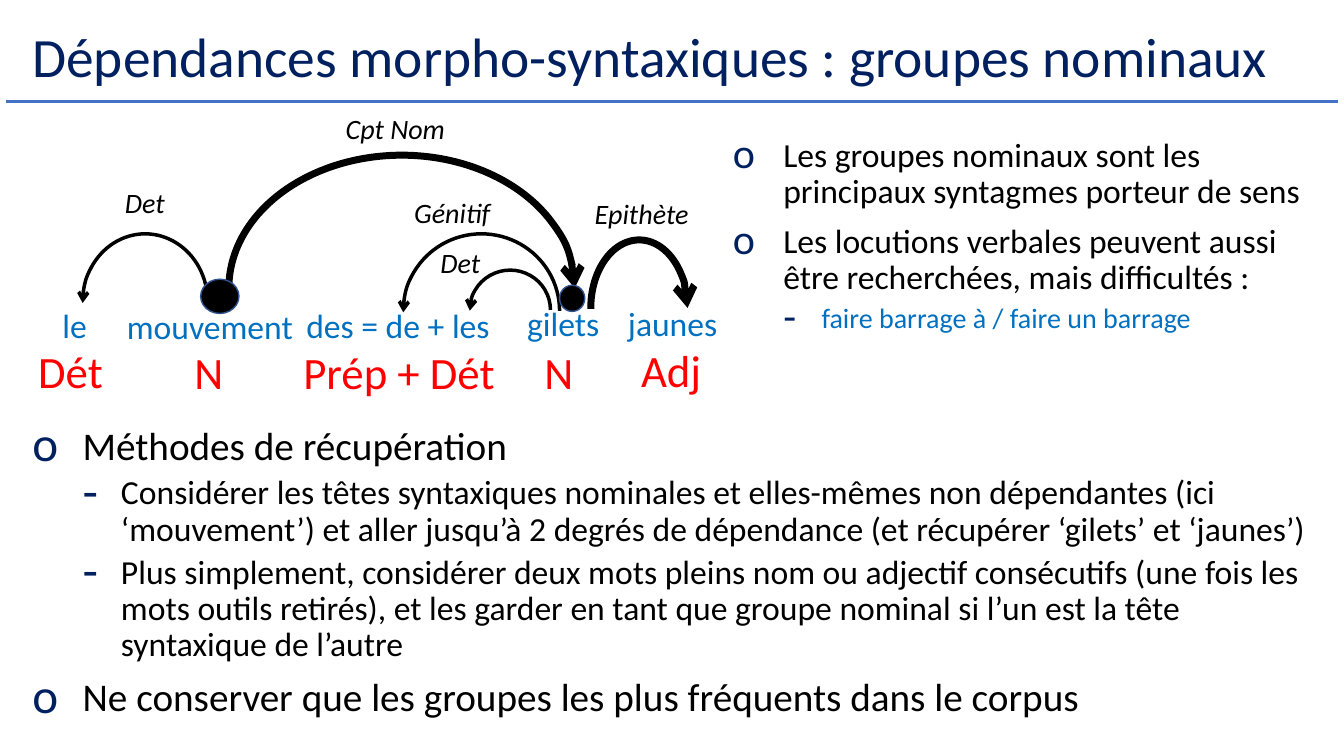
from lxml.etree import SubElement
from pptx import Presentation
from pptx.dml.color import RGBColor
from pptx.enum.shapes import MSO_CONNECTOR, MSO_SHAPE
from pptx.enum.text import MSO_ANCHOR, MSO_AUTO_SIZE, PP_ALIGN
from pptx.oxml.ns import qn
from pptx.util import Inches, Pt

FONT = "Calibri"
COLORS = {
    "navy": "002060", "rule": "4472C4", "word": "0070C0", "tag": "FF0000",
    "black": "000000", "node_edge": "325491",
}
# Per level: bullet, size in %, left margin, hanging indent, space before
BULLETS = [("o", 125, 0.5, 0.5, 10), ("-", 150, 0.88, 0.38, 5)]

# Text, left, top, width
WORDS = [
    ("le", 0.52, 2.98, 0.73), ("mouvement", 1.16, 2.99, 1.88),
    ("des = de + les", 2.94, 2.98, 2.13), ("gilets", 5.13, 2.96, 0.95),
    ("jaunes", 6.13, 2.96, 1.19),
]
TAGS = [
    ("Dét", 0.28, 3.36, 1.02), ("N", 1.83, 3.37, 0.5),
    ("Prép + Dét", 2.91, 3.37, 2.24), ("N", 5.3, 3.37, 0.5),
    ("Adj", 6.26, 3.35, 0.97),
]
RELATIONS = [
    ("Cpt Nom", 3.33, 1.06, 1.3), ("Det", 1.14, 1.79, 0.7),
    ("Génitif", 4.01, 1.89, 1.07), ("Det", 4.27, 2.39, 0.7),
    ("Epithète", 5.8, 1.9, 1.24),
]
# Left, top, width, height, arrow end, line width
DEPENDENCIES = [
    (0.82, 2.32, 1.24, 1.35, "headEnd", 2.5),
    (2.27, 1.54, 3.43, 2.64, "tailEnd", 5),
    (4.66, 2.68, 0.8, 0.79, "headEnd", 2.5),
    (5.86, 2.38, 0.96, 1.35, "tailEnd", 5),
    (4, 2.32, 1.55, 1.53, "headEnd", 2.5),
]
HEAD_NOUNS = [(1.99, 2.77, 0.38, 0.34), (5.55, 2.83, 0.25, 0.26)]

# Text, level, size, colour
FINDINGS = [
    ("Les groupes nominaux sont les principaux syntagmes porteur de sens",
     0, 24, "black"),
    ("Les locutions verbales peuvent aussi être recherchées, mais difficultés :",
     0, 24, "black"),
    ("faire barrage à / faire un barrage", 1, 20, "word"),
]
METHODS = [
    ("Méthodes de récupération", 0, 28, "black"),
    ("Considérer les têtes syntaxiques nominales et elles-mêmes non dépendantes "
     "(ici ‘mouvement’) et aller jusqu’à 2 degrés de dépendance (et récupérer "
     "‘gilets’ et ‘jaunes’)", 1, 24, "black"),
    ("Plus simplement, considérer deux mots pleins nom ou adjectif consécutifs "
     "(une fois les mots outils retirés), et les garder en tant que groupe "
     "nominal si l’un est la tête syntaxique de l’autre", 1, 24, "black"),
    ("Ne conserver que les groupes les plus fréquents dans le corpus",
     0, 28, "black"),
]


def rgb(name):
    """Return the named colour."""
    return RGBColor.from_string(COLORS[name])


def place(shape, left, top, width, height):
    """Move and size a shape, in inches."""
    shape.left, shape.top = Inches(left), Inches(top)
    shape.width, shape.height = Inches(width), Inches(height)


def style(paragraph, size, color, italic=False):
    """Set the font of a whole paragraph."""
    font = paragraph.font
    font.name, font.size, font.italic = FONT, Pt(size), italic
    font.color.rgb = rgb(color)


def add_bullet(paragraph, level):
    """Give a paragraph the bullet, indent and spacing of its level."""
    char, percent, margin, hanging, before = BULLETS[level]
    paragraph.level = level
    paragraph.line_spacing, paragraph.space_before = 0.9, Pt(before)
    paragraph.space_after = Pt(0)
    properties = paragraph._p.get_or_add_pPr()
    properties.set("marL", str(Inches(margin)))
    properties.set("indent", str(-Inches(hanging)))
    bullet_color = SubElement(properties, qn("a:buClr"))
    SubElement(bullet_color, qn("a:srgbClr"), val=COLORS["navy"])
    SubElement(properties, qn("a:buSzPct"), val=str(percent * 1000))
    SubElement(properties, qn("a:buFont"), typeface=FONT)
    SubElement(properties, qn("a:buChar"), char=char)


def fill_list(frame, items):
    """Write a two-level bulleted list into a text frame."""
    frame.word_wrap, frame.auto_size = True, MSO_AUTO_SIZE.NONE
    for index, (text, level, size, color) in enumerate(items):
        paragraph = frame.paragraphs[0] if index == 0 else frame.add_paragraph()
        paragraph.text = text
        add_bullet(paragraph, level)
        style(paragraph, size, color)


def add_labels(slide, labels, height, size, color, italic=False):
    """Add a set of one-line texts that share a style."""
    for text, left, top, width in labels:
        box = slide.shapes.add_textbox(
            Inches(left), Inches(top), Inches(width), Inches(height))
        box.text_frame.word_wrap = True
        paragraph = box.text_frame.paragraphs[0]
        paragraph.text = text
        style(paragraph, size, color, italic)


def add_preset(slide, kind, bounds, line_color, line_width):
    """Add a preset shape with an outline and no shadow."""
    shape = slide.shapes.add_shape(kind, *map(Inches, bounds))
    shape.shadow.inherit = False
    shape.line.color.rgb, shape.line.width = rgb(line_color), Pt(line_width)
    return shape


def add_dependency(slide, left, top, width, height, arrow_end, line_width):
    """Add a half-ellipse arrow between two words."""
    arc = add_preset(slide, MSO_SHAPE.ARC, (left, top, width, height),
                     "black", line_width)
    arc.fill.background()
    arc.adjustments[0], arc.adjustments[1] = 107.38, 0
    SubElement(arc.line._get_or_add_ln(), qn(f"a:{arrow_end}"), type="arrow")


def add_head_noun(slide, bounds):
    """Add the black dot that marks a head noun."""
    dot = add_preset(slide, MSO_SHAPE.OVAL, bounds, "node_edge", 1)
    dot.fill.solid()
    dot.fill.fore_color.rgb = rgb("black")


def add_title(slide, text):
    """Fill the title placeholder and draw the rule below it."""
    title = slide.shapes.title
    place(title, 0.22, 0.27, 12.89, 0.64)
    frame = title.text_frame
    frame.auto_size, frame.vertical_anchor = MSO_AUTO_SIZE.NONE, MSO_ANCHOR.MIDDLE
    paragraph = frame.paragraphs[0]
    paragraph.text = text
    paragraph.alignment, paragraph.line_spacing = PP_ALIGN.LEFT, 0.9
    style(paragraph, 39.6, "navy")
    rule = slide.shapes.add_connector(
        MSO_CONNECTOR.STRAIGHT, *map(Inches, (0.06, 1.01, 13.27, 1.01)))
    rule.line.color.rgb, rule.line.width = rgb("rule"), Pt(2)
    SubElement(rule._element.spPr, qn("a:effectLst"))


def main():
    """Build and save the slide."""
    deck = Presentation()
    deck.slide_width, deck.slide_height = Inches(13.33), Inches(7.5)
    slide = deck.slides.add_slide(deck.slide_layouts[1])
    add_title(slide, "Dépendances morpho-syntaxiques : groupes nominaux")

    add_labels(slide, WORDS, 0.5, 24, "word")
    for dependency in DEPENDENCIES:
        add_dependency(slide, *dependency)
    add_labels(slide, TAGS, 0.64, 32, "tag")
    add_labels(slide, RELATIONS, 0.44, 20, "black", italic=True)
    for bounds in HEAD_NOUNS:
        add_head_noun(slide, bounds)

    methods = slide.placeholders[1]
    place(methods, 0.22, 4.18, 12.89, 3.05)
    fill_list(methods.text_frame, METHODS)
    findings = slide.shapes.add_textbox(*map(Inches, (7.17, 1.32, 5.88, 2.46)))
    fill_list(findings.text_frame, FINDINGS)
    deck.save("out.pptx")


main()
